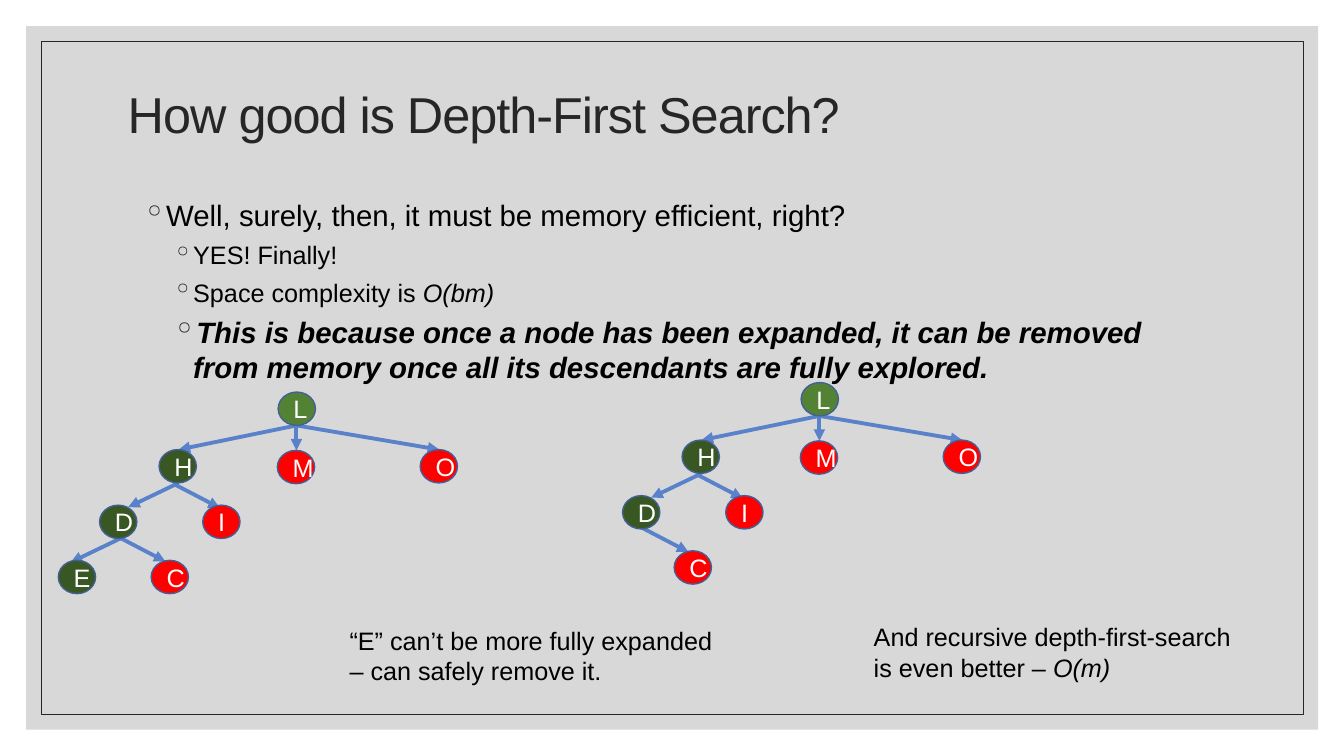
from dataclasses import dataclass

from lxml import etree
from pptx import Presentation
from pptx import util as u
from pptx.dml import color
from pptx.enum import shapes, text
from pptx.oxml import ns

FONT = "Arial"
INK, BLACK, WHITE = "262626", "000000", "FFFFFF"
ROOT, EXPANDED, FRONTIER = "548235", "385723", "FF0000"
NODE_LINE, ARROW = "436096", "5A82CB"
NODE_WIDTH, NODE_HEIGHT = 0.94, 0.84


@dataclass(frozen=True)
class Node:
    label: str
    left: float
    top: float
    fill: str


@dataclass(frozen=True)
class Edge:
    child: str
    start: tuple[float, float]
    end: tuple[float, float]


@dataclass(frozen=True)
class Run:
    text: str
    bold: bool = False
    italic: bool = False


@dataclass(frozen=True)
class Bullet:
    level: int
    size: float
    runs: tuple[Run, ...]


NODES = (
    Node("L", 7.01, 9.88, ROOT),
    Node("H", 4.01, 11.33, EXPANDED),
    Node("M", 6.99, 11.35, FRONTIER),
    Node("O", 10.59, 11.33, FRONTIER),
    Node("D", 2.51, 12.73, EXPANDED),
    Node("I", 5.11, 12.73, FRONTIER),
    Node("E", 1.47, 14.12, EXPANDED),
    Node("C", 3.81, 14.12, FRONTIER),
)
ROOT_FOOT = (7.47, 10.72)
EDGES = (
    Edge("H", ROOT_FOOT, (4.5, 11.33)),
    Edge("M", ROOT_FOOT, (7.47, 11.35)),
    Edge("O", ROOT_FOOT, (11.07, 11.33)),
    Edge("D", (4.5, 12.17), (3.23, 12.78)),
    Edge("I", (4.37, 12.19), (5.54, 12.8)),
    Edge("E", (3.05, 13.56), (1.78, 14.17)),
    Edge("C", (3, 13.54), (4.17, 14.15)),
)
BULLETS = (
    Bullet(0, 21, (Run("Well, surely, then, it must be memory efficient, right?"),)),
    Bullet(1, 18, (Run("YES! Finally!"),)),
    Bullet(1, 18, (Run("Space complexity is "), Run("O(bm)", italic=True))),
    Bullet(1, 21, (Run("This is because once a node has been expanded, it can be removed "
                       "from memory once all its descendants are fully explored.",
                       bold=True, italic=True),)),
)


def rgb(value: str) -> color.RGBColor:
    return color.RGBColor.from_string(value)


def write(paragraph, runs: tuple[Run, ...], *, size: float = 18, ink: str = BLACK,
          tracking: float = 0) -> None:
    for item in runs:
        run = paragraph.add_run()
        run.text = item.text
        run.font.name = FONT
        run.font.size = u.Pt(size)
        run.font.bold = item.bold
        run.font.italic = item.italic
        run.font.color.rgb = rgb(ink)
        if tracking:
            run.font._element.set("spc", str(round(tracking * 100)))


def add_text_frame(slide, left: float, top: float, width: float, height: float):
    box = slide.shapes.add_textbox(u.Cm(left), u.Cm(top), u.Cm(width), u.Cm(height))
    box.text_frame.word_wrap = True
    return box.text_frame


def add_bullet(paragraph, bullet: Bullet) -> None:
    properties = paragraph._p.get_or_add_pPr()
    properties.set("marL", str(u.Cm(1.27 + 0.76 * bullet.level)))
    properties.set("indent", str(u.Cm(-0.51)))
    bullet_color = etree.SubElement(properties, ns.qn("a:buClr"))
    etree.SubElement(bullet_color, ns.qn("a:srgbClr"), val=INK)
    etree.SubElement(properties, ns.qn("a:buChar"), char="◦")
    paragraph.level = bullet.level
    write(paragraph, bullet.runs, size=bullet.size)


def add_plain_shape(parent, kind, left: float, top: float, width: float, height: float,
                    *, fill: str | None = None, line: str | None = None,
                    line_width: float = 1):
    shape = parent.shapes.add_shape(kind, u.Cm(left), u.Cm(top), u.Cm(width), u.Cm(height))
    shape.shadow.inherit = False
    if fill:
        shape.fill.solid()
        shape.fill.fore_color.rgb = rgb(fill)
    else:
        shape.fill.background()
    if line:
        shape.line.color.rgb = rgb(line)
        shape.line.width = u.Pt(line_width)
    else:
        shape.line.fill.background()
    return shape


def add_arrow(parent, start: tuple[float, float], end: tuple[float, float]) -> None:
    arrow = parent.shapes.add_connector(
        shapes.MSO_CONNECTOR.STRAIGHT, *(u.Cm(value) for value in (*start, *end)))
    arrow.line.color.rgb = rgb(ARROW)
    arrow.line.width = u.Pt(2.75)
    etree.SubElement(arrow.line._get_or_add_ln(), ns.qn("a:tailEnd"), type="triangle")
    etree.SubElement(arrow._element.spPr, ns.qn("a:effectLst"))


def add_tree(slide, *, dx: float = 0, dy: float = 0, removed: str = "") -> None:
    """Draw the search tree, shifted, without the removed nodes."""
    group = slide.shapes.add_group_shape()
    for edge in EDGES:
        if edge.child not in removed:
            add_arrow(group, (edge.start[0] + dx, edge.start[1] + dy),
                      (edge.end[0] + dx, edge.end[1] + dy))
    for node in NODES:
        if node.label in removed:
            continue
        circle = add_plain_shape(group, shapes.MSO_SHAPE.OVAL, node.left + dx, node.top + dy,
                                 NODE_WIDTH, NODE_HEIGHT, fill=node.fill, line=NODE_LINE)
        circle.text_frame.vertical_anchor = text.MSO_ANCHOR.MIDDLE
        paragraph = circle.text_frame.paragraphs[0]
        paragraph.alignment = text.PP_ALIGN.CENTER
        write(paragraph, (Run(node.label),), ink=WHITE)


def add_frame(slide) -> None:
    rectangle = shapes.MSO_SHAPE.RECTANGLE
    panel = add_plain_shape(slide, rectangle, 0.66, 0.66, 32.56, 17.73, fill="BFBFBF")
    panel_color = panel._element.spPr.find(".//" + ns.qn("a:srgbClr"))
    etree.SubElement(panel_color, ns.qn("a:alpha"), val="60000")
    add_plain_shape(slide, rectangle, 1.04, 1.04, 31.8, 16.97, line=INK, line_width=0.5)


def main() -> None:
    presentation = Presentation()
    presentation.slide_width, presentation.slide_height = u.Cm(33.87), u.Cm(19.05)
    slide = presentation.slides.add_slide(presentation.slide_layouts[6])
    add_frame(slide)

    title = add_text_frame(slide, 2.97, 1.04, 27.94, 3.81)
    title.vertical_anchor = text.MSO_ANCHOR.MIDDLE
    title.paragraphs[0].line_spacing = 0.9
    write(title.paragraphs[0], (Run("How good is Depth-First Search?"),),
          size=36, ink=INK, tracking=-0.7)

    body = add_text_frame(slide, 2.59, 4.85, 27.51, 10.92)
    for index, bullet in enumerate(BULLETS):
        paragraph = body.add_paragraph() if index else body.paragraphs[0]
        add_bullet(paragraph, bullet)
        if index:
            paragraph.space_before = u.Pt(5)

    add_tree(slide)
    add_tree(slide, dx=13.18, dy=-0.24, removed="E")

    expanded_note = add_text_frame(slide, 8.56, 15.62, 10.13, 1.8)
    write(expanded_note.paragraphs[0],
          (Run("“E” can’t be more fully expanded – can safely remove it."),))
    recursive_note = add_text_frame(slide, 21.77, 15.54, 10.13, 1.8)
    write(recursive_note.paragraphs[0],
          (Run("And recursive depth-first-search is even better – "), Run("O(m)", italic=True)))

    presentation.save("out.pptx")


if __name__ == "__main__":
    main()
